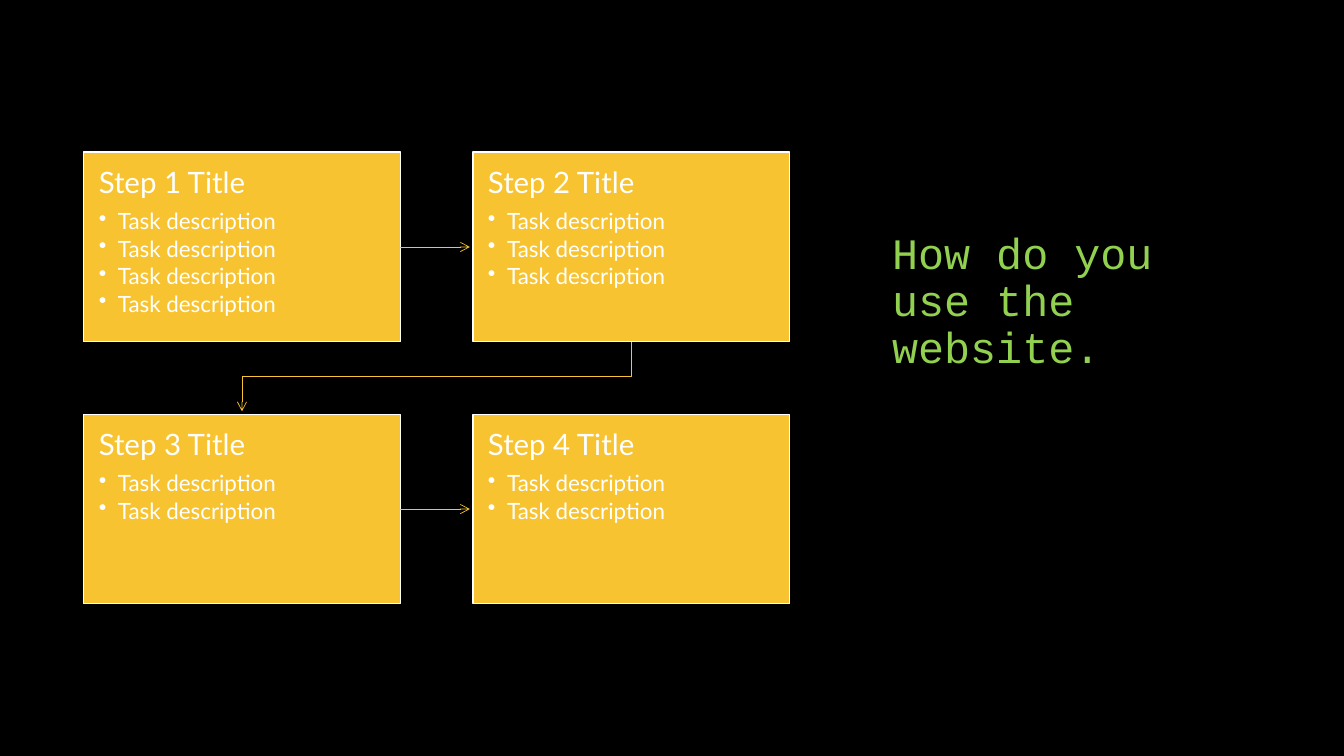
from dataclasses import dataclass

from lxml import etree
from pptx import Presentation
from pptx.dml.color import RGBColor
from pptx.enum.shapes import MSO_CONNECTOR, MSO_SHAPE
from pptx.enum.text import MSO_ANCHOR, PP_ALIGN
from pptx.oxml.ns import qn
from pptx.util import Inches, Pt

TITLE = "How do you use the website."
TASK = "Task description"
STEPS = [
    ("Step 1 Title", [TASK] * 4),
    ("Step 2 Title", [TASK] * 3),
    ("Step 3 Title", [TASK] * 2),
    ("Step 4 Title", [TASK] * 2),
]


@dataclass(frozen=True)
class Theme:
    background: RGBColor = RGBColor(0x00, 0x00, 0x00)
    card: RGBColor = RGBColor(0xF7, 0xC3, 0x31)
    light: RGBColor = RGBColor(0xFF, 0xFF, 0xFF)
    title: RGBColor = RGBColor(0x92, 0xD0, 0x50)
    title_font: str = "Courier New"
    card_font: str = "Lato"
    title_size: int = 31
    heading_size: int = 21
    task_size: int = 16
    line_spacing: float = 0.9


THEME = Theme()
COLUMNS = 2
LEFT, TOP = 0.83, 1.51
CARD_W, CARD_H = 3.14, 1.88
STEP_X, STEP_Y = 3.86, 2.6
ARROW_GAP = 0.03
BULLET_INDENT = 0.19


def write(paragraph, text, font, size, color):
    paragraph.alignment = PP_ALIGN.LEFT
    paragraph.line_spacing = THEME.line_spacing
    run = paragraph.add_run()
    run.text = text
    run.font.name = font
    run.font.size = Pt(size)
    run.font.color.rgb = color


def add_bullet(paragraph):
    props = paragraph._p.get_or_add_pPr()
    props.set("marL", str(Inches(BULLET_INDENT)))
    props.set("indent", str(-Inches(BULLET_INDENT)))
    etree.SubElement(props, qn("a:buChar")).set("char", "•")


def add_card(slide, x, y, heading, tasks):
    card = slide.shapes.add_shape(
        MSO_SHAPE.RECTANGLE, Inches(x), Inches(y), Inches(CARD_W), Inches(CARD_H))
    card.shadow.inherit = False
    card.fill.solid()
    card.fill.fore_color.rgb = THEME.card
    card.line.color.rgb = THEME.light
    card.line.width = Pt(1)
    frame = card.text_frame
    frame.word_wrap = True
    frame.vertical_anchor = MSO_ANCHOR.TOP
    frame.margin_left = frame.margin_right = Inches(0.15)
    frame.margin_top = frame.margin_bottom = Inches(0.16)
    first = frame.paragraphs[0]
    write(first, heading, THEME.card_font, THEME.heading_size, THEME.light)
    first.space_after = Pt(THEME.heading_size * 0.35)
    for task in tasks:
        paragraph = frame.add_paragraph()
        paragraph.level = 1
        write(paragraph, task, THEME.card_font, THEME.task_size, THEME.light)
        paragraph.space_after = Pt(THEME.task_size * 0.15)
        add_bullet(paragraph)


def add_arrow(slide, kind, x1, y1, x2, y2):
    arrow = slide.shapes.add_connector(
        kind, Inches(x1), Inches(y1), Inches(x2), Inches(y2))
    arrow.line.color.rgb = THEME.card
    arrow.line.width = Pt(0.5)
    etree.SubElement(arrow.line._get_or_add_ln(), qn("a:tailEnd")).set("type", "arrow")
    etree.SubElement(arrow._element.spPr, qn("a:effectLst"))
    return arrow


def add_row_arrow(slide, x, y):
    middle = y + CARD_H / 2
    add_arrow(slide, MSO_CONNECTOR.STRAIGHT,
              x + CARD_W, middle, x + STEP_X - ARROW_GAP, middle)


def add_wrap_arrow(slide, x, y):
    start_x, start_y = x + CARD_W / 2, y + CARD_H
    end_x, end_y = LEFT + CARD_W / 2, y + STEP_Y - ARROW_GAP
    center_x, center_y = (start_x + end_x) / 2, (start_y + end_y) / 2
    half_w, half_h = (end_y - start_y) / 2, (start_x - end_x) / 2
    arrow = add_arrow(slide, MSO_CONNECTOR.ELBOW,
                      center_x - half_w, center_y - half_h,
                      center_x + half_w, center_y + half_h)
    arrow._element.spPr.find(qn("a:xfrm")).set("rot", str(90 * 60000))


def add_title(slide):
    box = slide.shapes.add_textbox(Inches(8.75), Inches(1.75), Inches(3.41), Inches(2))
    frame = box.text_frame
    frame.word_wrap = True
    frame.vertical_anchor = MSO_ANCHOR.BOTTOM
    write(frame.paragraphs[0], TITLE, THEME.title_font, THEME.title_size, THEME.title)


prs = Presentation()
prs.slide_width, prs.slide_height = Inches(13.33), Inches(7.5)
slide = prs.slides.add_slide(prs.slide_layouts[6])
slide.background.fill.solid()
slide.background.fill.fore_color.rgb = THEME.background

add_title(slide)
for index, (heading, tasks) in enumerate(STEPS):
    row, column = divmod(index, COLUMNS)
    x, y = LEFT + column * STEP_X, TOP + row * STEP_Y
    add_card(slide, x, y, heading, tasks)
    if column < COLUMNS - 1:
        add_row_arrow(slide, x, y)
    elif index < len(STEPS) - 1:
        add_wrap_arrow(slide, x, y)

prs.save("out.pptx")
